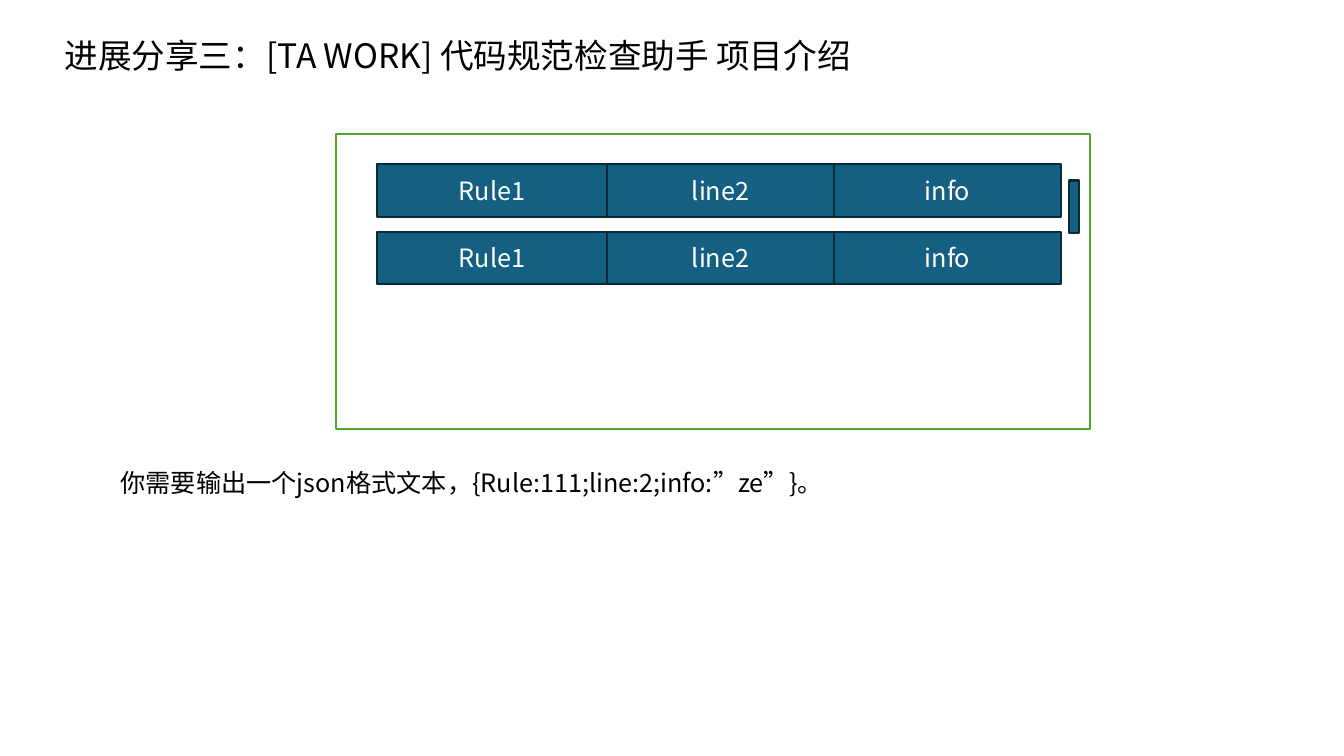
from dataclasses import dataclass
from itertools import accumulate

from lxml.etree import SubElement
from pptx import Presentation
from pptx.dml.color import RGBColor
from pptx.enum.shapes import MSO_SHAPE
from pptx.enum.text import MSO_ANCHOR, MSO_AUTO_SIZE, PP_ALIGN
from pptx.oxml.ns import qn
from pptx.shapes.autoshape import Shape
from pptx.slide import Slide
from pptx.util import Cm, Pt

FONT = "Noto Sans CJK SC"
BLACK, WHITE = "000000", "FFFFFF"
BLUE, NAVY, GREEN = "156082", "092A39", "4EA72E"

TABLE_LEFT, TABLE_TOP = 9.5, 4.14
ROW_COUNT, ROW_PITCH, ROW_HEIGHT = 2, 1.7, 1.32


@dataclass(frozen=True)
class Box:
    """A rectangle measured in centimetres."""
    left: float
    top: float
    width: float
    height: float

    def lengths(self) -> tuple[Cm, Cm, Cm, Cm]:
        return Cm(self.left), Cm(self.top), Cm(self.width), Cm(self.height)


@dataclass(frozen=True)
class Column:
    label: str
    width: float


COLUMNS = [Column("Rule1", 5.8), Column("line2", 5.72), Column("info", 5.72)]


def color(value: str) -> RGBColor:
    return RGBColor.from_string(value)


def write_text(shape: Shape, text: str, size: int, ink: str,
               align: PP_ALIGN, anchor: MSO_ANCHOR) -> None:
    frame = shape.text_frame
    frame.word_wrap = True
    frame.vertical_anchor = anchor
    frame.text = text
    paragraph = frame.paragraphs[0]
    paragraph.alignment = align
    paragraph.font.name = FONT
    paragraph.font.size = Pt(size)
    paragraph.font.color.rgb = color(ink)
    # Chinese characters take their typeface from the East Asian font
    defaults = paragraph._p.pPr.find(qn("a:defRPr"))
    SubElement(defaults, qn("a:ea")).set("typeface", FONT)


def add_rectangle(slide: Slide, box: Box, fill: str, line: str) -> Shape:
    shape = slide.shapes.add_shape(MSO_SHAPE.RECTANGLE, *box.lengths())
    shape.shadow.inherit = False
    shape.fill.solid()
    shape.fill.fore_color.rgb = color(fill)
    shape.line.color.rgb = color(line)
    shape.line.width = Pt(1.5)
    return shape


def add_title(slide: Slide, box: Box, text: str) -> None:
    title = slide.shapes.title
    title.left, title.top, title.width, title.height = box.lengths()
    write_text(title, text, 24, BLACK, PP_ALIGN.LEFT, MSO_ANCHOR.TOP)
    title.text_frame.auto_size = MSO_AUTO_SIZE.NONE


def add_result_row(slide: Slide, top: float) -> None:
    lefts = accumulate((column.width for column in COLUMNS), initial=TABLE_LEFT)
    for column, left in zip(COLUMNS, lefts):
        cell = add_rectangle(slide, Box(left, top, column.width, ROW_HEIGHT), BLUE, NAVY)
        write_text(cell, column.label, 18, WHITE, PP_ALIGN.CENTER, MSO_ANCHOR.MIDDLE)


def add_caption(slide: Slide, box: Box, text: str) -> None:
    caption = slide.shapes.add_textbox(*box.lengths())
    write_text(caption, text, 18, BLACK, PP_ALIGN.LEFT, MSO_ANCHOR.TOP)
    caption.text_frame.auto_size = MSO_AUTO_SIZE.SHAPE_TO_FIT_TEXT


def main() -> None:
    presentation = Presentation()
    presentation.slide_width, presentation.slide_height = Cm(33.87), Cm(19.05)
    slide = presentation.slides.add_slide(presentation.slide_layouts.get_by_name("Title Only"))

    add_title(slide, Box(1.37, 0.74, 28.5, 1.27),
              "进展分享三：[TA WORK] 代码规范检查助手 项目介绍")
    add_rectangle(slide, Box(8.46, 3.38, 19.02, 7.44), WHITE, GREEN)
    for row in range(ROW_COUNT):
        add_result_row(slide, TABLE_TOP + row * ROW_PITCH)
    scroll_thumb = Box(26.95, 4.55, 0.25, ROW_HEIGHT)
    add_rectangle(slide, scroll_thumb, BLUE, NAVY)
    add_caption(slide, Box(2.79, 11.66, 21.21, 1.02),
                "你需要输出一个json格式文本，{Rule:111;line:2;info:”ze”}。")

    presentation.save("out.pptx")


if __name__ == "__main__":
    main()
